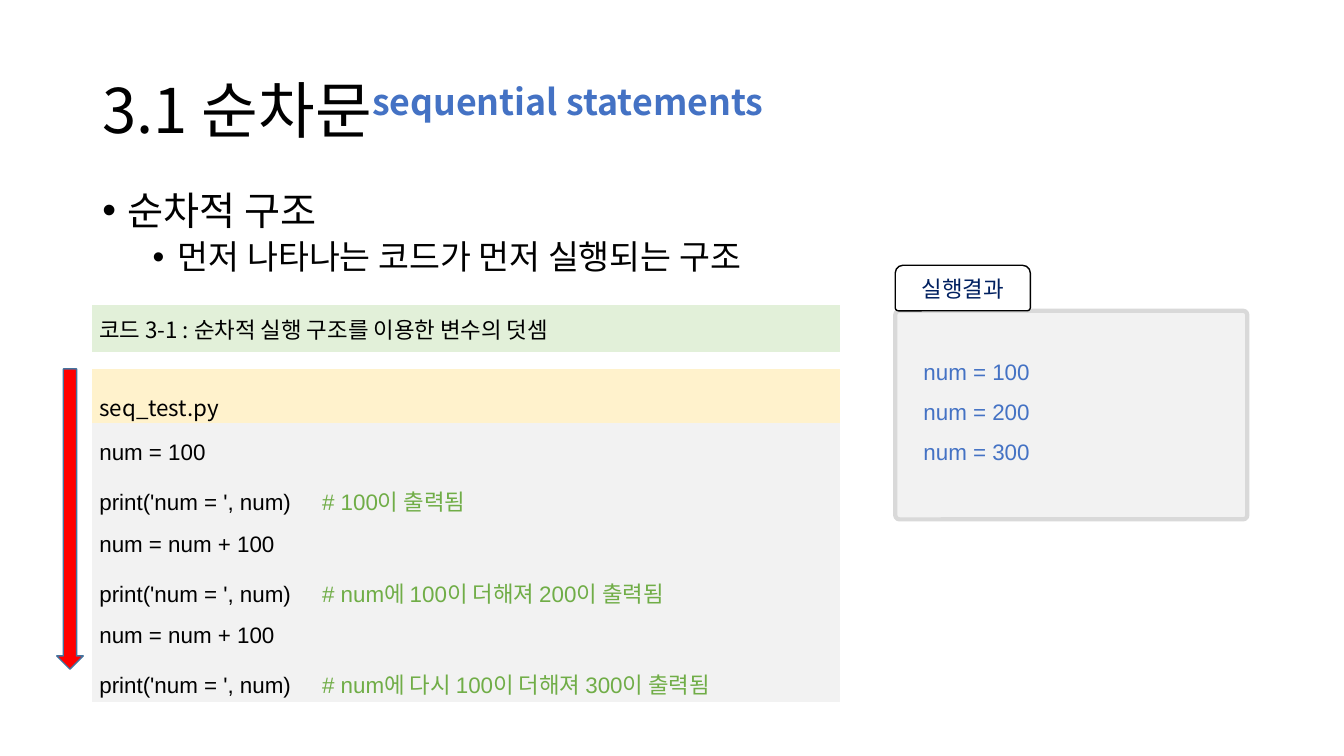
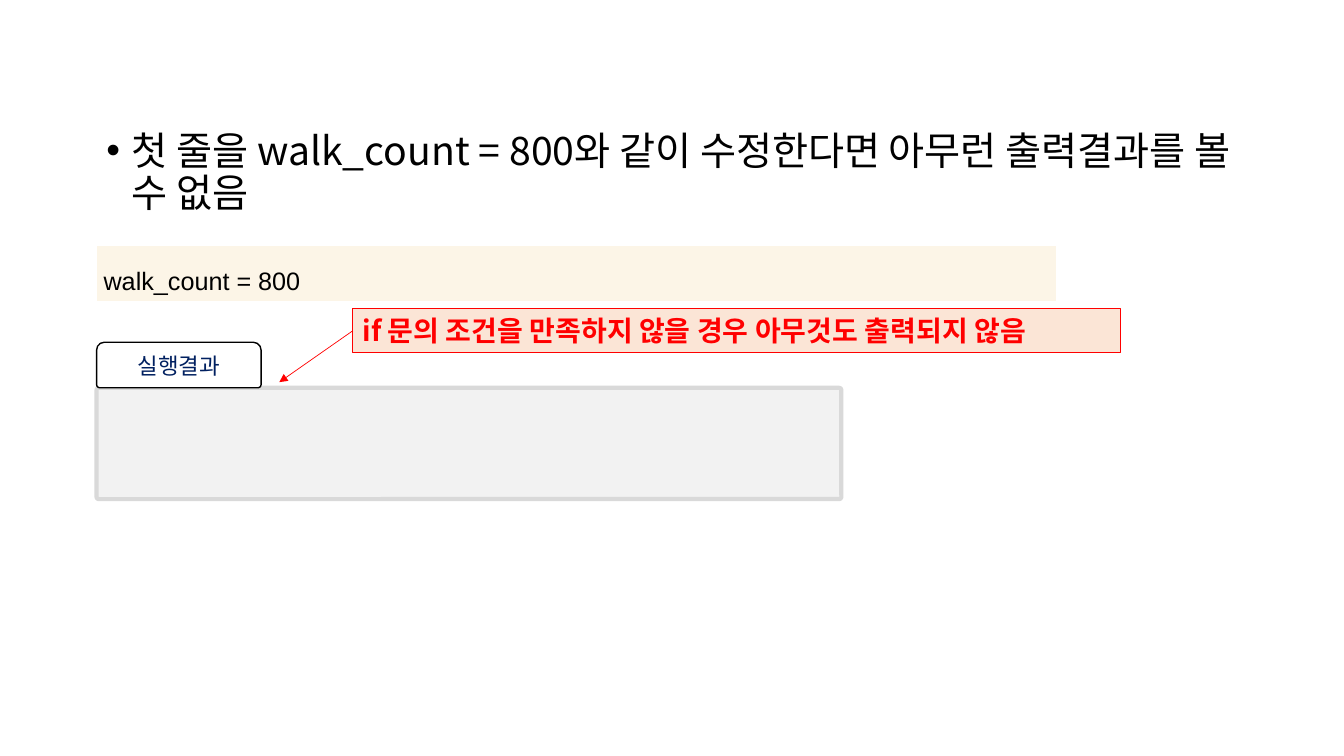
from lxml import etree
from pptx import Presentation
from pptx.dml.color import RGBColor
from pptx.enum.shapes import MSO_CONNECTOR, MSO_SHAPE
from pptx.enum.text import MSO_ANCHOR, PP_ALIGN
from pptx.oxml.ns import qn
from pptx.util import Pt

LEFT, CENTER, JUSTIFY = PP_ALIGN.LEFT, PP_ALIGN.CENTER, PP_ALIGN.JUSTIFY
MIDDLE = MSO_ANCHOR.MIDDLE
STRAIGHT = MSO_CONNECTOR.STRAIGHT
RECTANGLE, DOWN_ARROW = MSO_SHAPE.RECTANGLE, MSO_SHAPE.DOWN_ARROW
ROUNDED, ROUNDED_TAB = (MSO_SHAPE.ROUNDED_RECTANGLE,
                        MSO_SHAPE.ROUND_2_SAME_RECTANGLE)
TITLE_ONLY, BLANK = 5, 6
KOREAN, LATIN = "Noto Sans CJK KR", "Arial"
BLACK, WHITE, NAVY, BLUE = "000000", "FFFFFF", "002060", "4472C4"
RED, GREEN, GREY, EDGE = "FF0000", "70AD47", "F2F2F2", "D9D9D9"
PLAIN_TABLE = "{2D5ABB26-0587-4C30-8999-92F81FD0307C}"
TAB_HEIGHT = 32.5


def color(value):
    return RGBColor.from_string(value)


def style_span(span, size, shade=BLACK, font=KOREAN, bold=False):
    span.font.size = Pt(size)
    span.font.bold = bold
    span.font.color.rgb = color(shade)
    span.font.name = font
    etree.SubElement(span.font._element, qn("a:ea"), typeface=KOREAN)


def write(frame, lines, size, shade=BLACK, font=KOREAN, bold=False,
          align=LEFT, spacing=1.0):
    """Fill a frame; each line is a tuple of code and an optional comment."""
    for index, line in enumerate(lines):
        para = frame.add_paragraph() if index else frame.paragraphs[0]
        para.alignment = align
        para.line_spacing = spacing
        for text, span_shade in zip(line, (shade, GREEN)):
            span = para.add_run()
            span.text = text
            style_span(span, size, span_shade, font, bold)


def add_box(page, kind, box, fill, line, weight):
    shape = page.shapes.add_shape(kind, *map(Pt, box))
    shape.shadow.inherit = False
    shape.fill.solid()
    shape.fill.fore_color.rgb = color(fill)
    shape.line.color.rgb = color(line)
    shape.line.width = Pt(weight)
    return shape


def add_text(page, box):
    frame = page.shapes.add_textbox(*map(Pt, box)).text_frame
    frame.word_wrap = True
    return frame


def add_title(page, box, heading, raised):
    title = page.shapes.title
    title.left, title.top, title.width, title.height = map(Pt, box)
    title.text_frame.vertical_anchor = MIDDLE
    para = title.text_frame.paragraphs[0]
    para.alignment = LEFT
    para.line_spacing = 0.9
    for text, shade, bold in ((heading, BLACK, False), (raised, BLUE, True)):
        span = para.add_run()
        span.text = text
        style_span(span, 44, shade, bold=bold)
    span.font._element.set("baseline", "30000")


def add_bullets(page, box, items):
    """Items are pairs of level and text."""
    frame = add_text(page, box)
    for index, (level, text) in enumerate(items):
        para = frame.add_paragraph() if index else frame.paragraphs[0]
        para.line_spacing = 0.9
        if index:
            para.space_before = Pt(5)
        properties = para._p.get_or_add_pPr()
        properties.set("marL", str(Pt(18 + 36 * level)))
        properties.set("indent", str(Pt(-18)))
        etree.SubElement(properties, qn("a:buFont"), typeface="Arial")
        etree.SubElement(properties, qn("a:buChar"), char="•")
        span = para.add_run()
        span.text = text
        style_span(span, 28 - 4 * level)


def add_code_table(page, left, top, width, rows):
    """Rows are height, fill and text options; a row without fill is a gap."""
    total = sum(height for height, _, _ in rows)
    table = page.shapes.add_table(
        len(rows), 1, *map(Pt, (left, top, width, total))).table
    table.first_row = table.horz_banding = False
    table._tbl.tblPr.find(qn("a:tableStyleId")).text = PLAIN_TABLE
    for index, (height, fill, options) in enumerate(rows):
        table.rows[index].height = Pt(height)
        cell = table.cell(index, 0)
        cell.vertical_anchor = MIDDLE
        cell.margin_left = cell.margin_right = Pt(5)
        cell.margin_top = cell.margin_bottom = Pt(1.5)
        if fill:
            cell.fill.solid()
            cell.fill.fore_color.rgb = color(fill)
            write(cell.text_frame, **options)
        else:
            cell.fill.background()
            etree.SubElement(cell.text_frame.paragraphs[0]._p,
                             qn("a:endParaRPr"), sz="400")


def add_result(page, box, tab_width, lines=()):
    """Panel with a labelled tab standing on its top left corner."""
    left, top, width, height = box
    panel = add_box(page, ROUNDED, box, GREY, EDGE, 3)
    panel.adjustments[0] = 0.02
    tab = add_box(page, ROUNDED_TAB,
                  (left, top - TAB_HEIGHT, tab_width, TAB_HEIGHT),
                  WHITE, BLACK, 1)
    tab.adjustments[0], tab.adjustments[1] = 0.17, 0.07
    tab.text_frame.vertical_anchor = MIDDLE
    write(tab.text_frame, [("실행결과",)], 16, NAVY, align=CENTER)
    if lines:
        frame = add_text(page, (left + 13, top + 20.5, width - 26, 91.5))
        write(frame, [(line,) for line in lines], 16, BLUE, LATIN,
              spacing=1.5)


def add_callout(page, box, text, target):
    callout = add_box(page, RECTANGLE, box, "FBE5D6", RED, 0.75)
    callout.text_frame.vertical_anchor = MIDDLE
    write(callout.text_frame, [(text,)], 20, RED, bold=True)
    left, top, _, height = box
    arrow = page.shapes.add_connector(
        STRAIGHT, *map(Pt, (left, top + height / 2, *target)))
    arrow.begin_connect(callout, 1)
    arrow.line.color.rgb = color(RED)
    arrow.line.width = Pt(0.5)
    etree.SubElement(arrow.line._get_or_add_ln(), qn("a:tailEnd"),
                     type="triangle")
    etree.SubElement(arrow._element.spPr, qn("a:effectLst"))


def build_sequence_slide(deck):
    page = deck.slides.add_slide(deck.slide_layouts[TITLE_ONLY])
    add_title(page, (66, 29, 828, 104.5), "3.1 순차문",
              "sequential statements")
    add_bullets(page, (66, 133, 828, 80), [
        (0, "순차적 구조"), (1, "먼저 나타나는 코드가 먼저 실행되는 구조")])

    print_code, add_code = "print('num = ', num)     ", "num = num + 100"
    code_lines = [
        ("num = 100",), (print_code, "# 100이 출력됨"),
        (add_code,), (print_code, "# num에 100이 더해져 200이 출력됨"),
        (add_code,), (print_code, "# num에 다시 100이 더해져 300이 출력됨")]
    caption = "코드 3-1 : 순차적 실행 구조를 이용한 변수의 덧셈"
    add_code_table(page, 66, 217.5, 534, [
        (34, "E2F0D9", dict(lines=[(caption,)], size=16)),
        (12, None, None),
        (39, "FFF2CC", dict(lines=[("seq_test.py",)], size=16,
                            align=JUSTIFY, spacing=1.6)),
        (199, GREY, dict(lines=code_lines, size=16, font=LATIN,
                         align=JUSTIFY, spacing=1.6))])
    add_result(page, (639.5, 222, 251.5, 149), 96.5,
               [f"num = {value}" for value in (100, 200, 300)])
    add_box(page, DOWN_ARROW, (40.5, 263.5, 19, 214.5), RED, "43739E", 1)


def build_no_output_slide(deck):
    page = deck.slides.add_slide(deck.slide_layouts[BLANK])
    add_bullets(page, (69, 90.5, 828, 80), [
        (0, "첫 줄을 walk_count = 800와 같이 수정한다면 "
            "아무런 출력결과를 볼 수 없음")])
    add_code_table(page, 69, 175.5, 685.5, [
        (39.5, "FCF5E7", dict(lines=[("walk_count = 800",)], size=18,
                              font=LATIN, align=JUSTIFY, spacing=1.6))])
    add_result(page, (69, 277, 532, 79.5), 117.5)
    add_callout(page, (252, 220.5, 548.5, 31.5),
                "if 문의 조건을 만족하지 않을 경우 아무것도 출력되지 않음",
                (199.5, 273))


def main():
    deck = Presentation()
    deck.slide_width, deck.slide_height = Pt(960), Pt(540)
    build_sequence_slide(deck)
    build_no_output_slide(deck)
    deck.save("out.pptx")


if __name__ == "__main__":
    main()
